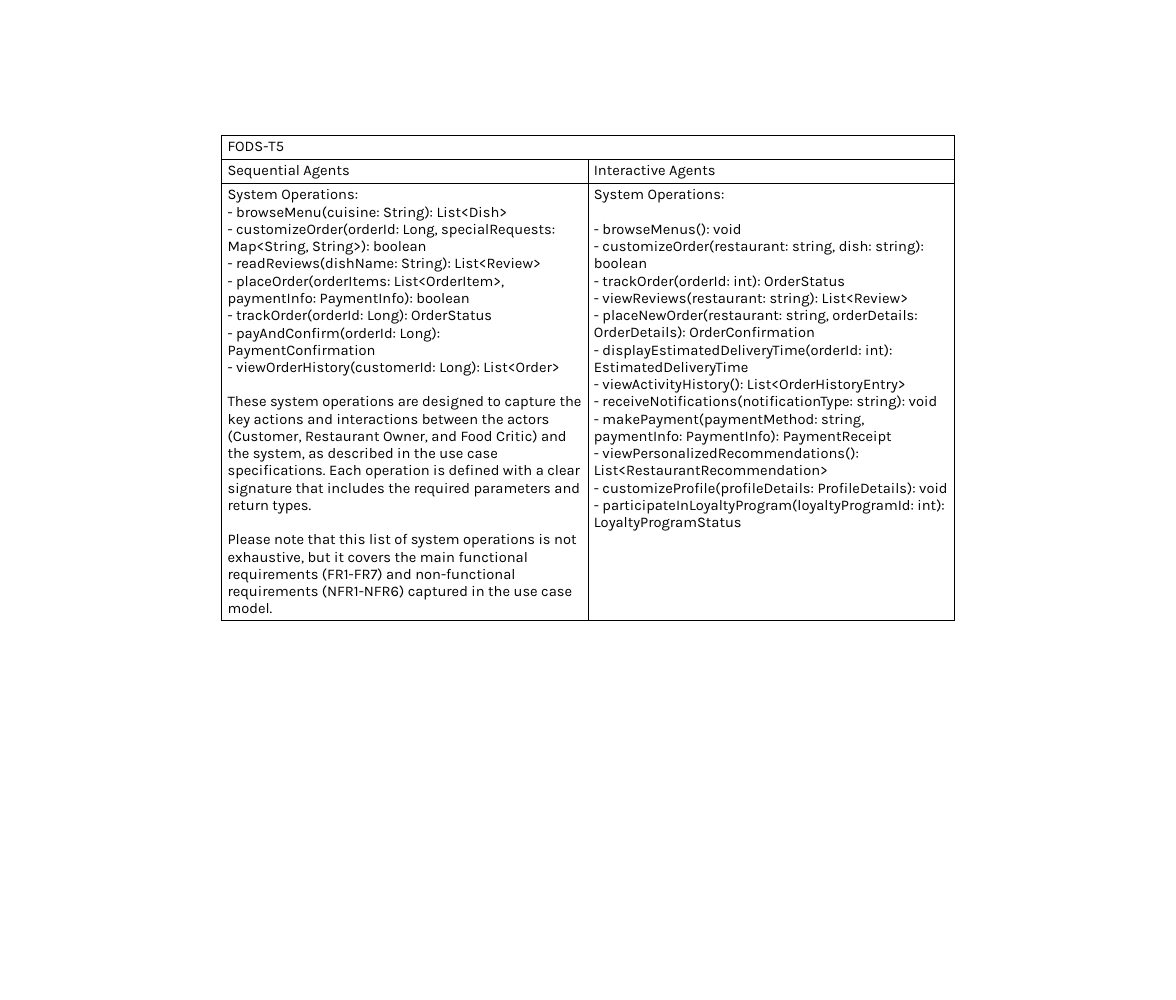
from lxml import etree
from pptx import Presentation
from pptx import util as u
from pptx.dml.color import RGBColor
from pptx.oxml.ns import qn

# Content: each cell is a list of blocks, each block a list of paragraphs
TITLE = [["FODS-T5"]]
HEADINGS = [[["Sequential Agents"]], [["Interactive Agents"]]]
SEQUENTIAL = [
    [
        "System Operations:",
        "- browseMenu(cuisine: String): List<Dish>",
        "- customizeOrder(orderId: Long, specialRequests: Map<String, String>): boolean",
        "- readReviews(dishName: String): List<Review>",
        "- placeOrder(orderItems: List<OrderItem>, paymentInfo: PaymentInfo): boolean",
        "- trackOrder(orderId: Long): OrderStatus",
        "- payAndConfirm(orderId: Long): PaymentConfirmation",
        "- viewOrderHistory(customerId: Long): List<Order>",
    ],
    [
        "These system operations are designed to capture the key actions and "
        "interactions between the actors (Customer, Restaurant Owner, and Food Critic) "
        "and the system, as described in the use case specifications. Each operation is "
        "defined with a clear signature that includes the required parameters and "
        "return types.",
    ],
    [
        "Please note that this list of system operations is not exhaustive, but it "
        "covers the main functional requirements (FR1-FR7) and non-functional "
        "requirements (NFR1-NFR6) captured in the use case model.",
    ],
]
INTERACTIVE = [
    ["System Operations:"],
    [
        "- browseMenus(): void",
        "- customizeOrder(restaurant: string, dish: string): boolean",
        "- trackOrder(orderId: int): OrderStatus",
        "- viewReviews(restaurant: string): List<Review>",
        "- placeNewOrder(restaurant: string, orderDetails: OrderDetails): OrderConfirmation",
        "- displayEstimatedDeliveryTime(orderId: int): EstimatedDeliveryTime",
        "- viewActivityHistory(): List<OrderHistoryEntry>",
        "- receiveNotifications(notificationType: string): void",
        "- makePayment(paymentMethod: string, paymentInfo: PaymentInfo): PaymentReceipt",
        "- viewPersonalizedRecommendations(): List<RestaurantRecommendation>",
        "- customizeProfile(profileDetails: ProfileDetails): void",
        "- participateInLoyaltyProgram(loyaltyProgramId: int): LoyaltyProgramStatus",
    ],
]
ROWS = [[TITLE, None], HEADINGS, [SEQUENTIAL, INTERACTIVE]]

# Style and layout, in inches and points
COLORS = {"ink": "000000", "paper": "FFFFFF"}
FONT, SIZE, BLOCK_GAP = "Karla", 18, 21
SLIDE_W, SLIDE_H = 20, 17
LEFT, TOP, COL_W = 3.77, 2.3, 6.23
ROW_HEIGHTS = [0.41, 0.41, 7.4]


def write_blocks(cell, blocks):
    tf = cell.text_frame
    tf.text = "\n".join(line for block in blocks for line in block)
    paragraphs = iter(tf.paragraphs)
    for b, block in enumerate(blocks):
        for i in range(len(block)):
            p = next(paragraphs)
            p.space_before = u.Pt(BLOCK_GAP if b and i == 0 else 0)
            font = p.runs[0].font
            font.name, font.size = FONT, u.Pt(SIZE)
            font.color.rgb = RGBColor.from_string(COLORS["ink"])


def style_cell(cell):
    tc_pr = cell._tc.get_or_add_tcPr()
    for side in ("a:lnL", "a:lnR", "a:lnT", "a:lnB"):
        ln = etree.SubElement(tc_pr, qn(side), w=str(u.Pt(1)))
        fill = etree.SubElement(ln, qn("a:solidFill"))
        etree.SubElement(fill, qn("a:srgbClr"), val=COLORS["ink"])
    cell.fill.solid()
    cell.fill.fore_color.rgb = RGBColor.from_string(COLORS["paper"])


prs = Presentation()
prs.slide_width, prs.slide_height = u.Inches(SLIDE_W), u.Inches(SLIDE_H)
slide = prs.slides.add_slide(prs.slide_layouts[6])

# Table of system operations
n_cols = len(HEADINGS)
table = slide.shapes.add_table(
    len(ROWS), n_cols, u.Inches(LEFT), u.Inches(TOP),
    u.Inches(COL_W * n_cols), u.Inches(sum(ROW_HEIGHTS))).table
table.first_row = table.horz_banding = False
for col in table.columns:
    col.width = u.Inches(COL_W)
for row, height in zip(table.rows, ROW_HEIGHTS):
    row.height = u.Inches(height)
table.cell(0, 0).merge(table.cell(0, n_cols - 1))

for r, row in enumerate(ROWS):
    for c, blocks in enumerate(row):
        cell = table.cell(r, c)
        style_cell(cell)
        if blocks:
            write_blocks(cell, blocks)

prs.save("out.pptx")
